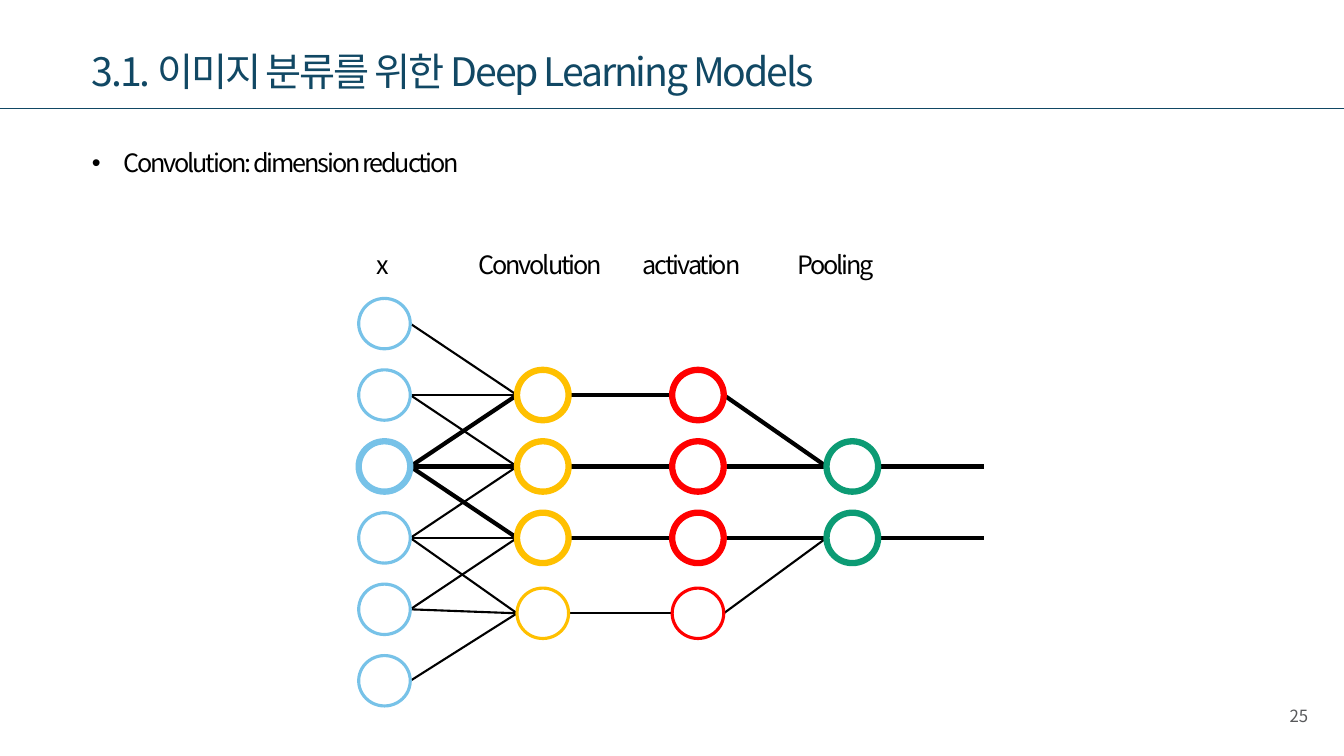
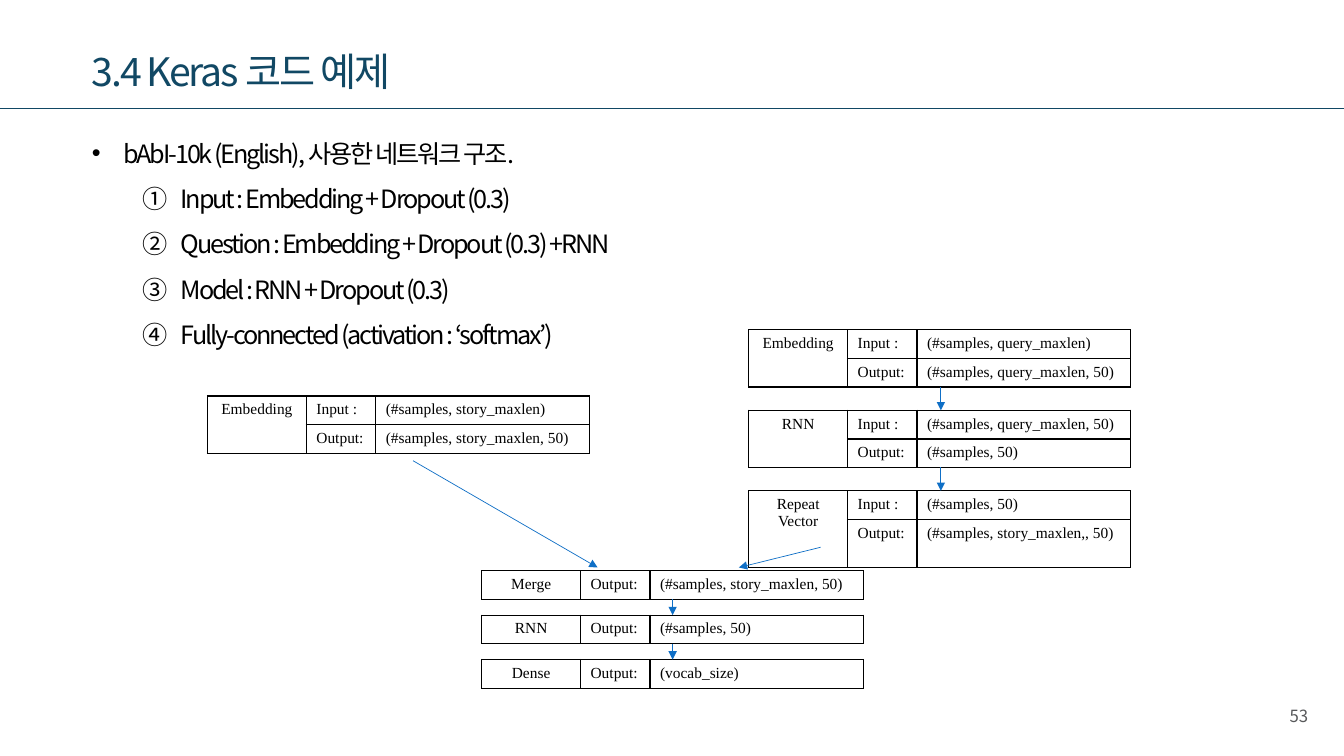
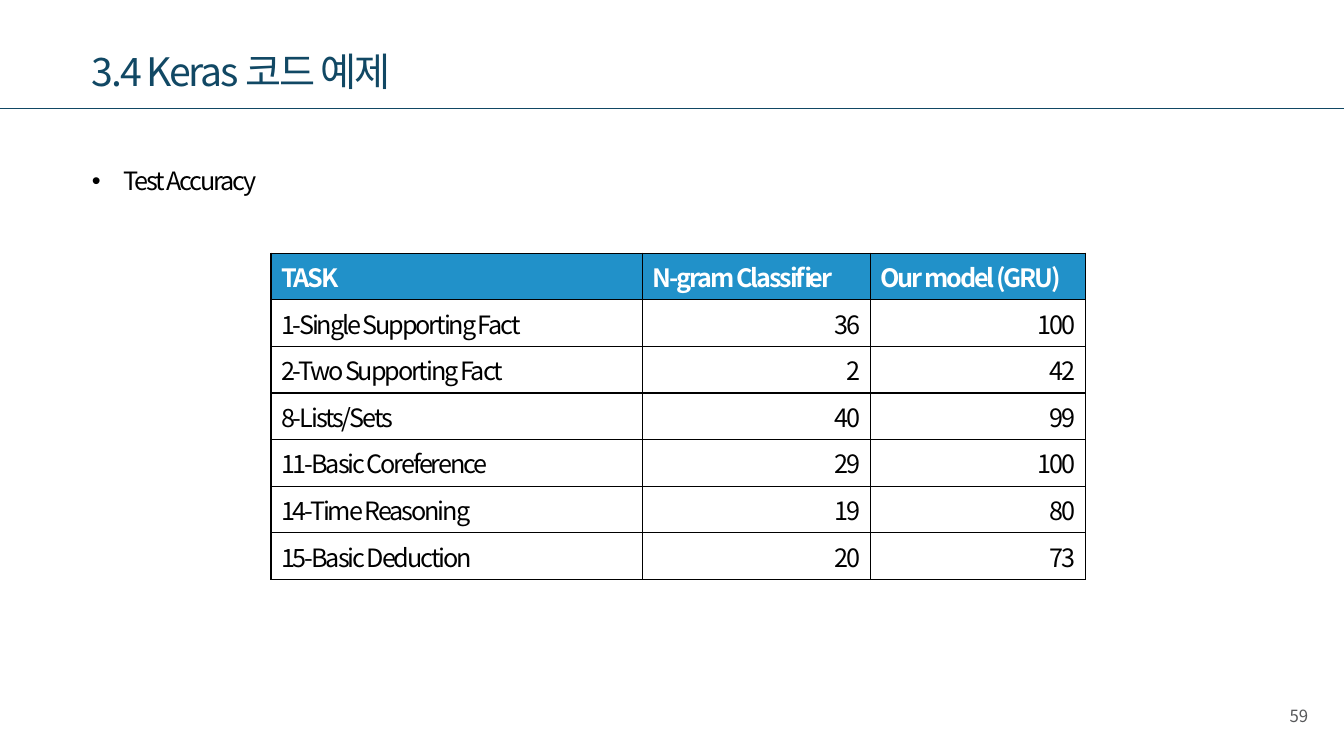
from itertools import pairwise

from lxml import etree
from pptx import Presentation
from pptx.dml.color import RGBColor
from pptx.enum.shapes import MSO_CONNECTOR, MSO_SHAPE
from pptx.enum.text import MSO_ANCHOR, MSO_AUTO_SIZE, PP_ALIGN
from pptx.oxml.ns import qn
from pptx.util import Cm, Pt

LEFT, CENTER, RIGHT = PP_ALIGN.LEFT, PP_ALIGN.CENTER, PP_ALIGN.RIGHT
TOP, MIDDLE = MSO_ANCHOR.TOP, MSO_ANCHOR.MIDDLE
NO_FIT = MSO_AUTO_SIZE.NONE
STRAIGHT = MSO_CONNECTOR.STRAIGHT
OVAL = MSO_SHAPE.OVAL

SANS = "Noto Sans CJK KR"
SERIF = "Times New Roman"
COLORS = {
    "title": "114864", "text": "000000", "number": "58595B", "white": "FFFFFF",
    "header": "2191C9", "arrow": "0F6FC6", "input": "77C2E8",
    "convolution": "FFC000", "activation": "FF0000", "pooling": "0C9B74",
}
SLIDE_W, SLIDE_H = 33.87, 19.05
MARGIN = 2.06
RULE_Y = 2.74
TIGHT = -1.5

NODE_W, NODE_H = 1.3, 1.27
NODE_TOP, NODE_STEP = 7.52, 1.8
OUTPUT_LENGTH = 2.67

LAYER_COLS = (2.49, 1.75, 5.38)
LAYER_ROW = 0.72


def rgb(name):
    return RGBColor.from_string(COLORS[name])


def add_run(p, text, size, color="text", font=SANS, bold=False, spacing=0):
    r = p.add_run()
    r.text = text
    r.font.size = Pt(size)
    r.font.name = font
    r.font.bold = bold
    r.font.color.rgb = rgb(color)
    rPr = r._r.get_or_add_rPr()
    if spacing:
        rPr.set("spc", str(int(spacing * 100)))
    etree.SubElement(rPr, qn("a:ea")).set("typeface", font)


def place(sp, left, top, width, height):
    sp.left, sp.top, sp.width, sp.height = map(Cm, (left, top, width, height))


def setup_frame(sp, anchor):
    tf = sp.text_frame
    tf.word_wrap = True
    tf.auto_size = NO_FIT
    tf.vertical_anchor = anchor
    return tf


def add_label(s, text, left, top, width, size=18, color="text", align=LEFT,
              anchor=TOP, spacing=0):
    sp = s.shapes.add_textbox(Cm(left), Cm(top), Cm(width), Cm(1.02))
    p = setup_frame(sp, anchor).paragraphs[0]
    p.alignment = align
    add_run(p, text, size, color, spacing=spacing)


def add_line(s, x1, y1, x2, y2, color="text", width=1, arrow=False):
    line = s.shapes.add_connector(STRAIGHT, Cm(x1), Cm(y1), Cm(x2), Cm(y2))
    line.line.color.rgb = rgb(color)
    line.line.width = Pt(width)
    if arrow:
        ln = line.line._get_or_add_ln()
        etree.SubElement(ln, qn("a:tailEnd")).set("type", "triangle")
    etree.SubElement(line._element.spPr, qn("a:effectLst"))


def add_slide(prs, title, title_w, number):
    """Add a slide with the shared title, rule and page number."""
    s = prs.slides.add_slide(prs.slide_layouts[1])
    add_line(s, 0, RULE_Y, SLIDE_W, RULE_Y, "title")
    place(s.shapes.title, MARGIN, 1.07, title_w, 1.45)
    p = setup_frame(s.shapes.title, MIDDLE).paragraphs[0]
    p.alignment = LEFT
    add_run(p, title, 28, "title", spacing=TIGHT)
    add_label(s, number, 31.57, 17.53, 1.65, 12, "number", RIGHT, MIDDLE)
    return s


def set_bullet(p, margin, hang, tag, **attributes):
    pPr = p._p.get_or_add_pPr()
    pPr.set("marL", str(Cm(margin)))
    pPr.set("indent", str(-Cm(hang)))
    bullet = etree.SubElement(pPr, qn(tag))
    for key, value in attributes.items():
        bullet.set(key, value)


def fill_body(s, top, width, height, heading, steps=(), line_spacing=1.5):
    """Write a bulleted heading followed by circled, numbered steps."""
    body = s.placeholders[1]
    place(body, MARGIN, top, width, height)
    tf = setup_frame(body, TOP)
    for i, text in enumerate((heading, *steps)):
        p = tf.add_paragraph() if i else tf.paragraphs[0]
        if i:
            p.level = 1
            set_bullet(p, 2.24, 0.97, "a:buAutoNum", type="circleNumDbPlain")
        else:
            set_bullet(p, 0.79, 0.79, "a:buChar", char="•")
        p.alignment = LEFT
        p.line_spacing = line_spacing
        p.space_before = Pt(0)
        add_run(p, text, 18, spacing=TIGHT)


def add_node(s, left, top, color, width):
    sp = s.shapes.add_shape(OVAL, Cm(left), Cm(top), Cm(NODE_W), Cm(NODE_H))
    sp.shadow.inherit = False
    sp.fill.solid()
    sp.fill.fore_color.rgb = rgb("white")
    sp.line.color.rgb = rgb(color)
    sp.line.width = Pt(width)


def add_grid(s, left, top, cols, heights):
    """Add an unstyled table with thin black borders."""
    frame = s.shapes.add_table(len(heights), len(cols), Cm(left), Cm(top),
                               Cm(sum(cols)), Cm(sum(heights)))
    table = frame.table
    table.first_row = table.horz_banding = False
    for column, width in zip(table.columns, cols):
        column.width = Cm(width)
    for row, height in zip(table.rows, heights):
        row.height = Cm(height)
    for cell in table.iter_cells():
        tcPr = cell._tc.get_or_add_tcPr()
        for side in ("a:lnL", "a:lnR", "a:lnT", "a:lnB"):
            ln = etree.SubElement(tcPr, qn(side))
            ln.set("w", str(Pt(1)))
            fill = etree.SubElement(ln, qn("a:solidFill"))
            etree.SubElement(fill, qn("a:srgbClr")).set("val", COLORS["text"])
        cell.fill.background()
    return table


def add_layer(s, left, top, name, rows, last_row=LAYER_ROW):
    """Add a network layer box: its name beside its input and output shapes."""
    heights = [LAYER_ROW] * (len(rows) - 1) + [last_row]
    table = add_grid(s, left, top, LAYER_COLS, heights)
    tf = table.cell(0, 0).text_frame
    for i, word in enumerate(name.split()):
        p = tf.add_paragraph() if i else tf.paragraphs[0]
        p.alignment = CENTER
        add_run(p, word, 11, font=SERIF)
    for i, row in enumerate(rows):
        for j, text in enumerate(row, 1):
            p = table.cell(i, j).text_frame.paragraphs[0]
            add_run(p, text, 11, font=SERIF)
    if len(rows) > 1:
        hidden = table.cell(1, 0).text_frame.paragraphs[0]
        hidden._p.get_or_add_endParaRPr().set("sz", "1100")
        table.cell(0, 0).merge(table.cell(len(rows) - 1, 0))


def add_score_table(s, left, top, cols, rows):
    table = add_grid(s, left, top, cols, [1.03] * len(rows))
    for i, row in enumerate(rows):
        header = i == 0
        for j, value in enumerate(row):
            cell = table.cell(i, j)
            cell.fill.solid()
            cell.fill.fore_color.rgb = rgb("header" if header else "white")
            p = cell.text_frame.paragraphs[0]
            p.alignment = LEFT if header or j == 0 else RIGHT
            add_run(p, str(value), 18, "white" if header else "text",
                    bold=header, spacing=TIGHT)


def draw_network(s):
    lefts = {"input": 9.04, "convolution": 13.03,
             "activation": 16.94, "pooling": 20.83}
    rows = {"input": range(6), "convolution": range(1, 5),
            "activation": range(1, 5), "pooling": (2, 3)}
    active = {"input": {2}, "convolution": {1, 2, 3},
              "activation": {1, 2, 3}, "pooling": {2, 3}}

    def node_top(layer, row):
        lowered = row == 4 and layer != "input"
        return NODE_TOP + row * NODE_STEP + (0.1 if lowered else 0)

    def center_y(layer, row):
        return node_top(layer, row) + NODE_H / 2

    def connect(a, row_a, b, row_b):
        heavy = row_a in active[a] and row_b in active[b]
        add_line(s, lefts[a] + NODE_W, center_y(a, row_a),
                 lefts[b], center_y(b, row_b), width=3 if heavy else 1.5)

    for row in rows["convolution"]:
        for source in (row - 1, row, row + 1):
            connect("input", source, "convolution", row)
        connect("convolution", row, "activation", row)
        connect("activation", row, "pooling", 2 if row < 3 else 3)
    for row in rows["pooling"]:
        x, y = lefts["pooling"] + NODE_W, center_y("pooling", row)
        add_line(s, x, y, x + OUTPUT_LENGTH, y, width=3)
    for layer, left in lefts.items():
        for row in rows[layer]:
            add_node(s, left, node_top(layer, row), layer,
                     4.5 if row in active[layer] else 2.25)


def build_convolution(prs):
    s = add_slide(prs, "3.1. 이미지 분류를 위한 Deep Learning Models", 20.19, "25")
    fill_body(s, 3.2, 29.18, 1.42, "Convolution: dimension reduction")
    draw_network(s)
    for text, left, top, width, spacing in (
            ("x", 9.25, 6.17, 0.89, 0),
            ("Convolution", 11.81, 6.17, 3.89, TIGHT),
            ("activation", 15.95, 6.15, 3.3, TIGHT),
            ("Pooling", 19.84, 6.15, 2.62, TIGHT)):
        add_label(s, text, left, top, width, spacing=spacing)


def build_structure(prs):
    s = add_slide(prs, "3.4 Keras 코드 예제", 9.09, "53")
    fill_body(s, 2.97, 28.73, 7.19, "bAbI-10k (English), 사용한 네트워크 구조.", (
        "Input : Embedding + Dropout (0.3)",
        "Question : Embedding + Dropout (0.3) +RNN",
        "Model : RNN + Dropout (0.3)",
        "Fully-connected (activation : ‘softmax’)"))

    story, query = "(#samples, story_maxlen, 50)", "(#samples, query_maxlen, 50)"
    flat = "(#samples, 50)"
    add_layer(s, 5.23, 9.98, "Embedding", (
        ("Input :", "(#samples, story_maxlen)"), ("Output:", story)))

    query_tops = [8.31 + 2.03 * i for i in range(3)]
    query_layers = (
        ("Embedding", "(#samples, query_maxlen)", query, LAYER_ROW),
        ("RNN", query, flat, LAYER_ROW),
        ("Repeat Vector", flat, "(#samples, story_maxlen,, 50)", 1.2))
    for top, (name, shape_in, shape_out, last_row) in zip(query_tops, query_layers):
        add_layer(s, 18.87, top, name,
                  (("Input :", shape_in), ("Output:", shape_out)), last_row)

    merged_tops = [14.38 + 1.12 * i for i in range(3)]
    merged_layers = (("Merge", story), ("RNN", flat), ("Dense", "(vocab_size)"))
    for top, (name, shape_out) in zip(merged_tops, merged_layers):
        add_layer(s, 12.14, top, name, (("Output:", shape_out),))

    arrows = [(10.41, 11.61, 15.06, 14.3), (20.68, 13.79, 18.62, 14.3)]
    for x, tops, height in ((23.71, query_tops, 2 * LAYER_ROW),
                            (16.95, merged_tops, LAYER_ROW)):
        arrows += [(x, a + height, x, b) for a, b in pairwise(tops)]
    for ends in arrows:
        add_line(s, *ends, "arrow", 0.5, arrow=True)


def build_accuracy(prs):
    s = add_slide(prs, "3.4 Keras 코드 예제", 9.09, "59")
    fill_body(s, 4.04, 5.44, 1.02, "Test Accuracy", line_spacing=1.0)
    add_score_table(s, 6.83, 6.38, (9.37, 5.74, 5.41), (
        ("TASK", "N-gram Classifier", "Our model (GRU)"),
        ("1-Single Supporting Fact", 36, 100),
        ("2-Two Supporting Fact", 2, 42),
        ("8-Lists/Sets", 40, 99),
        ("11-Basic Coreference", 29, 100),
        ("14-Time Reasoning", 19, 80),
        ("15-Basic Deduction", 20, 73)))


def main():
    prs = Presentation()
    prs.slide_width, prs.slide_height = Cm(SLIDE_W), Cm(SLIDE_H)
    build_convolution(prs)
    build_structure(prs)
    build_accuracy(prs)
    prs.save("out.pptx")


if __name__ == "__main__":
    main()
